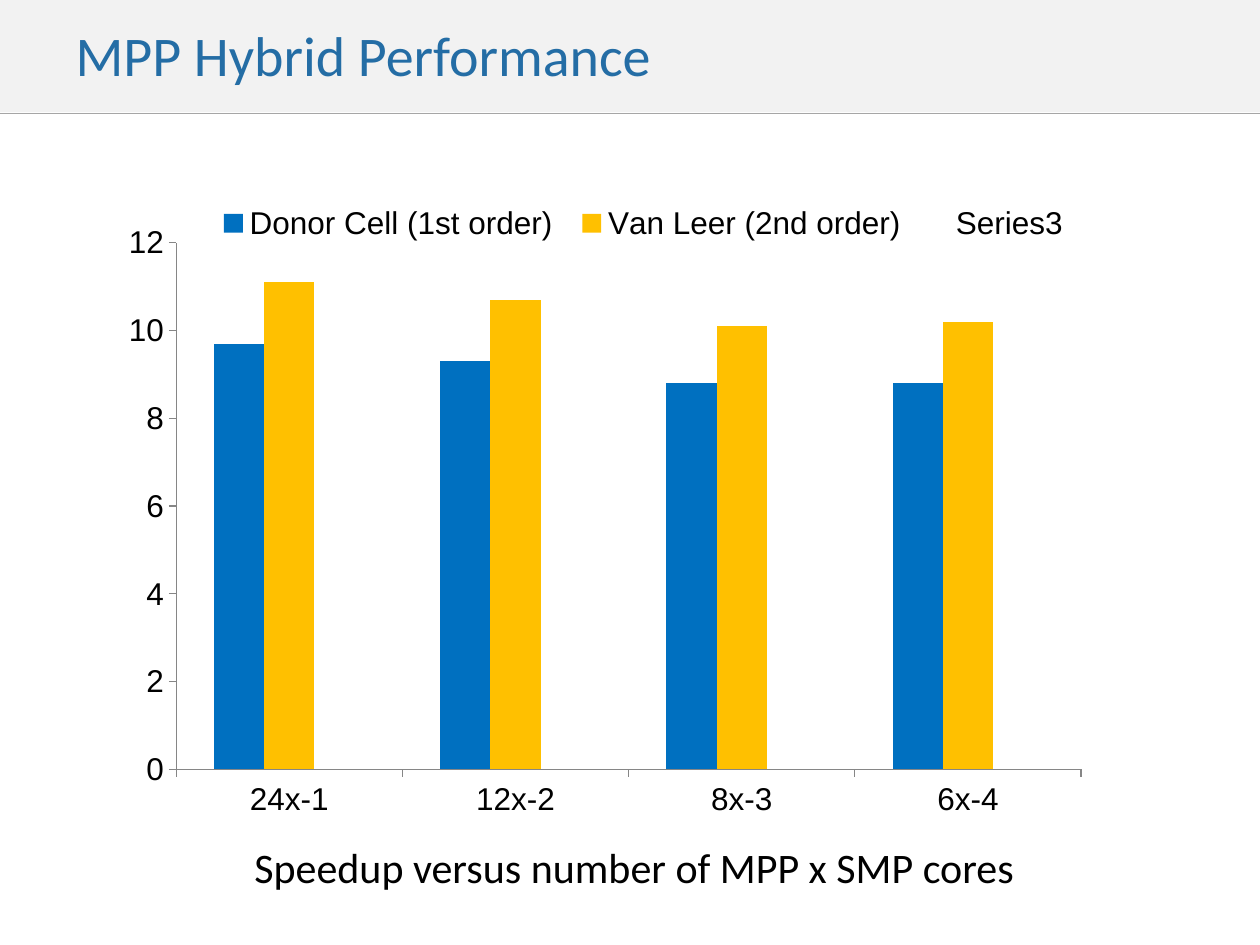
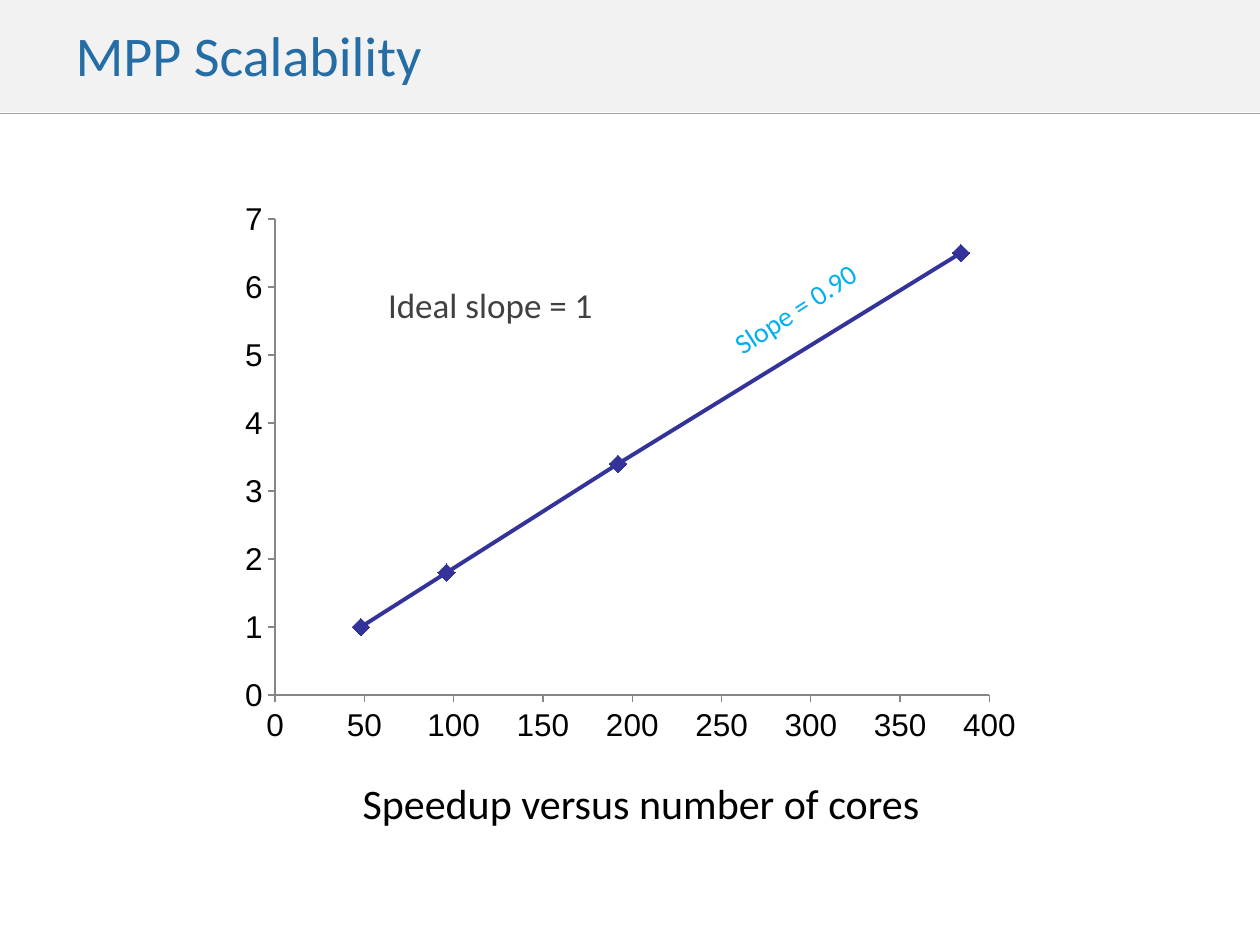
from lxml.etree import SubElement
from pptx import Presentation
from pptx.chart.data import CategoryChartData, XyChartData
from pptx.dml.color import RGBColor
from pptx.enum.chart import XL_CHART_TYPE, XL_LEGEND_POSITION, XL_MARKER_STYLE, XL_TICK_MARK
from pptx.enum.shapes import MSO_CONNECTOR, MSO_SHAPE
from pptx.enum.text import MSO_ANCHOR, MSO_AUTO_SIZE, PP_ALIGN
from pptx.oxml import parse_xml
from pptx.oxml.ns import nsdecls, qn
from pptx.util import Inches, Pt

WHITE, BLACK, BAND, RULE = "FFFFFF", "000000", "F2F2F2", "A6A6A6"
TITLE, GREY, CYAN, AXIS = "246DA5", "404040", "00B0F0", "868686"
BLUE, GOLD, INDIGO = "0070C0", "FFC000", "333399"

TITLE_FRAME = dict(vertical_anchor=MSO_ANCHOR.MIDDLE, margin_left=Inches(0.6), word_wrap=True)
GROW_FRAME = dict(word_wrap=False, auto_size=MSO_AUTO_SIZE.SHAPE_TO_FIT_TEXT)
NOTE_FRAME = dict(word_wrap=True, margin_left=0, margin_right=0)


def rgb(value):
    """Turn a hex string into a colour."""
    return RGBColor.from_string(value)


def apply(target, values):
    """Set each attribute of target from a dict."""
    for name, value in values.items():
        setattr(target, name, value)


def set_font(font, size, color, name="Calibri"):
    """Give a font its size, colour and face."""
    apply(font, dict(size=Pt(size), name=name))
    font.color.rgb = rgb(color)


def write(sp, text, size, color, frame):
    """Write one left-aligned paragraph into a shape."""
    tf = sp.text_frame
    apply(tf, frame)
    p = tf.paragraphs[0]
    p.alignment = PP_ALIGN.LEFT
    r = p.add_run()
    r.text = text
    set_font(r.font, size, color)


def add_box(s, box, fill=None, line=None):
    """Add a rectangle with an optional fill and outline."""
    sp = s.shapes.add_shape(MSO_SHAPE.RECTANGLE, *map(Inches, box))
    sp.shadow.inherit = False
    for part, color in ((sp.fill, fill), (sp.line.fill, line)):
        if color:
            part.solid()
            part.fore_color.rgb = rgb(color)
        else:
            part.background()
    if line:
        sp.line.width = Pt(0.75)
    return sp


def add_header(s, title):
    """Add the rule and the title band."""
    rule = s.shapes.add_connector(MSO_CONNECTOR.STRAIGHT, 0, Inches(0.9), Inches(10), Inches(0.9))
    rule.line.width = Pt(1)
    rule.line.color.rgb = rgb(RULE)
    SubElement(rule._element.spPr, qn("a:effectLst"))
    write(add_box(s, (0, -0.03, 10, 0.92), fill=BAND), title, 32, TITLE, TITLE_FRAME)


def add_caption(s, text, box):
    """Add the outlined caption below a chart."""
    write(add_box(s, box, line=WHITE), text, 24, BLACK, GROW_FRAME)


def add_note(s, text, box, size, color, frame, rotation=0):
    """Add a text box over a chart and return it."""
    sp = s.shapes.add_textbox(*map(Inches, box))
    sp.rotation = rotation
    write(sp, text, size, color, frame)
    return sp


def make_layout(box, inner=False):
    """Build a manual layout from fractions of the chart."""
    tags = [("layoutTarget", "inner")] if inner else []
    tags += [("xMode", "edge"), ("yMode", "edge"), *zip("xywh", box)]
    body = "".join(f'<c:{tag} val="{value}"/>' for tag, value in tags)
    return parse_xml(f'<c:layout {nsdecls("c")}><c:manualLayout>{body}</c:manualLayout></c:layout>')


def drop_layout(parent):
    """Remove the automatic layout of a chart part."""
    for old in parent.findall(qn("c:layout")):
        parent.remove(old)


def add_chart(s, kind, data, box, plot_box, value_scale):
    """Add a chart with plain axes and a placed plot area."""
    chart = s.shapes.add_chart(kind, *map(Inches, box), data).chart
    apply(chart, dict(has_title=False, has_legend=False))
    set_font(chart.font, 18, BLACK, "Arial")
    for axis in (chart.category_axis, chart.value_axis):
        apply(axis, dict(has_major_gridlines=False, major_tick_mark=XL_TICK_MARK.OUTSIDE,
                         minor_tick_mark=XL_TICK_MARK.NONE))
        axis.format.line.color.rgb = rgb(AXIS)
        axis.format.line.width = Pt(0.75)
    apply(chart.value_axis, value_scale)
    area = chart._chartSpace.chart.plotArea
    drop_layout(area)
    area.insert(0, make_layout(plot_box, inner=True))
    return chart


def add_legend(chart, box):
    """Place the legend above the columns."""
    chart.has_legend = True
    legend = chart.legend
    apply(legend, dict(include_in_layout=False, position=XL_LEGEND_POSITION.RIGHT))
    drop_layout(legend._element)
    legend._element.find(qn("c:legendPos")).addnext(make_layout(box))


def add_speedup_columns(s, box):
    """Add the columns that compare the two advection orders."""
    series = [("Donor Cell (1st order)", (9.7, 9.3, 8.8, 8.8), BLUE),
              ("Van Leer (2nd order)", (11.1, 10.7, 10.1, 10.2), GOLD),
              ("Series3", (None,) * 4, WHITE)]
    data = CategoryChartData()
    data.categories = ["24x-1", "12x-2", "8x-3", "6x-4"]
    for name, values, _ in series:
        data.add_series(name, values)
    chart = add_chart(s, XL_CHART_TYPE.COLUMN_CLUSTERED, data, box, (0.063, 0.129, 0.856, 0.786),
                      dict(minimum_scale=0, maximum_scale=12, major_unit=2))
    plot = chart.plots[0]
    apply(plot, dict(gap_width=150, overlap=0, vary_by_categories=False))
    for ser, (_, _, color) in zip(plot.series, series):
        ser.format.fill.solid()
        ser.format.fill.fore_color.rgb = rgb(color)
    add_legend(chart, (0.09, 0.06, 0.83, 0.08))


def add_scaling_curve(s, box):
    """Add the smooth curve of speedup against cores."""
    data = XyChartData()
    points = data.add_series("Series 1")
    for cores, speedup in ((48, 1), (96, 1.8), (192, 3.4), (384, 6.5)):
        points.add_data_point(cores, speedup)
    chart = add_chart(s, XL_CHART_TYPE.XY_SCATTER_SMOOTH, data, box, (0.077, 0.047, 0.85, 0.851),
                      dict(minimum_scale=0, maximum_scale=7, major_unit=1))
    apply(chart.category_axis, dict(minimum_scale=0, maximum_scale=400, major_unit=50))
    plot = chart.plots[0]
    plot.vary_by_categories = False
    ser = plot.series[0]
    ser.format.line.width = Pt(2.25)
    ser.format.line.color.rgb = rgb(INDIGO)
    apply(ser.marker, dict(style=XL_MARKER_STYLE.DIAMOND, size=10))
    ser.marker.format.fill.solid()
    ser.marker.format.fill.fore_color.rgb = rgb(INDIGO)
    ser.marker.format.line.color.rgb = rgb(INDIGO)


def build_hybrid(s):
    """Build the slide on hybrid performance."""
    add_header(s, "MPP Hybrid Performance")
    add_caption(s, "Speedup versus number of MPP x SMP cores", (1.92, 6.63, 6.29, 0.5))
    add_speedup_columns(s, (0.87, 1.24, 8.39, 5.32))


def build_scalability(s):
    """Build the slide on scalability."""
    add_header(s, "MPP Scalability")
    ideal = add_note(s, "Ideal slope = 1", (3.08, 2.2, 1.77, 0.47), 20, GREY, NOTE_FRAME)
    ideal.text_frame.paragraphs[0].space_after = Pt(6)
    add_scaling_curve(s, (1.67, 1.53, 6.67, 4.44))
    add_note(s, "Slope = 0.90", (5.66, 2.26, 1.32, 0.37), 16, CYAN, GROW_FRAME, 327)
    add_caption(s, "Speedup versus number of cores", (2.78, 6.12, 4.74, 0.5))


def main():
    """Build and save the presentation."""
    prs = Presentation()
    apply(prs, dict(slide_width=Inches(10), slide_height=Inches(7.5)))
    for build in (build_hybrid, build_scalability):
        build(prs.slides.add_slide(prs.slide_layouts[6]))
    prs.save("out.pptx")


if __name__ == "__main__":
    main()
